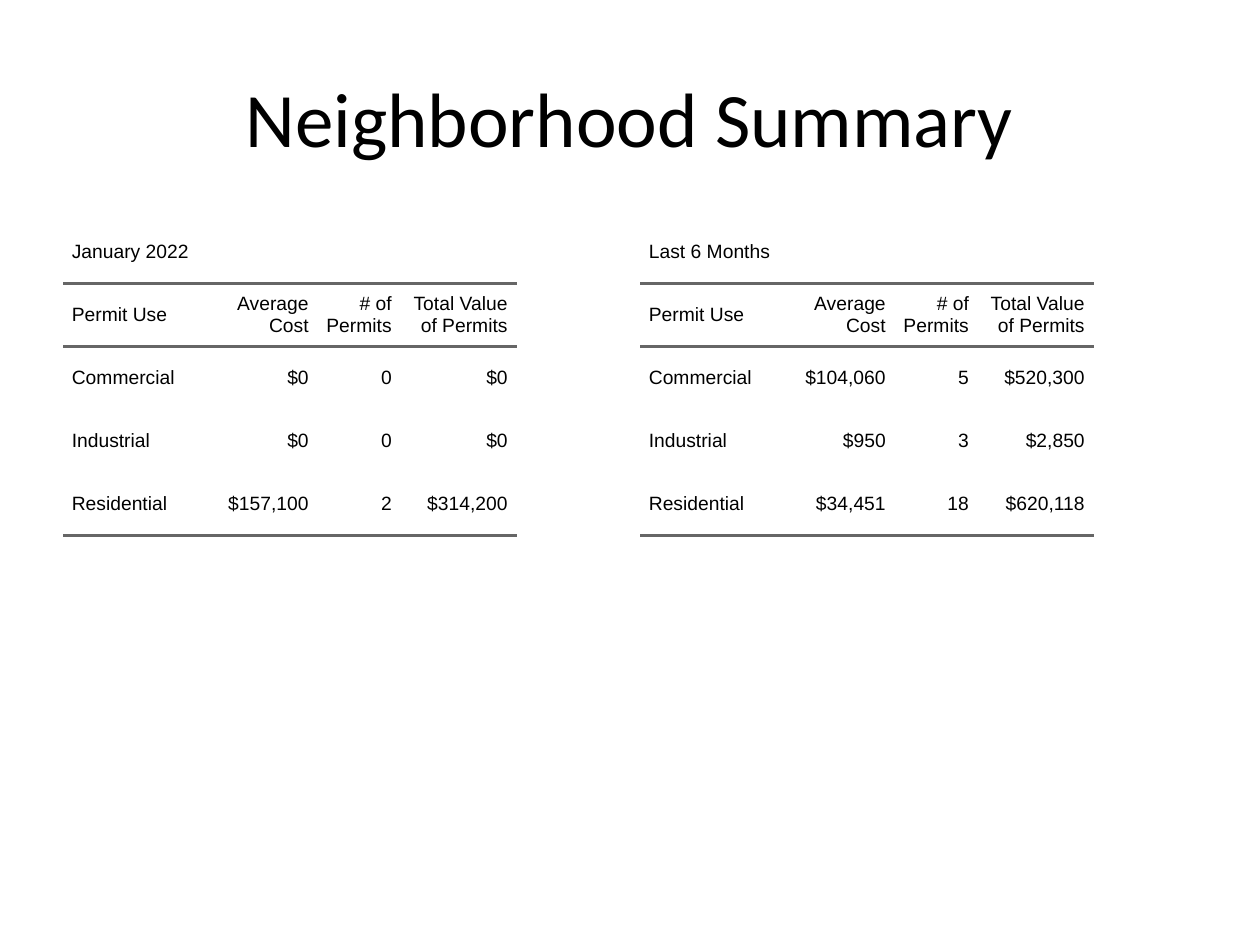
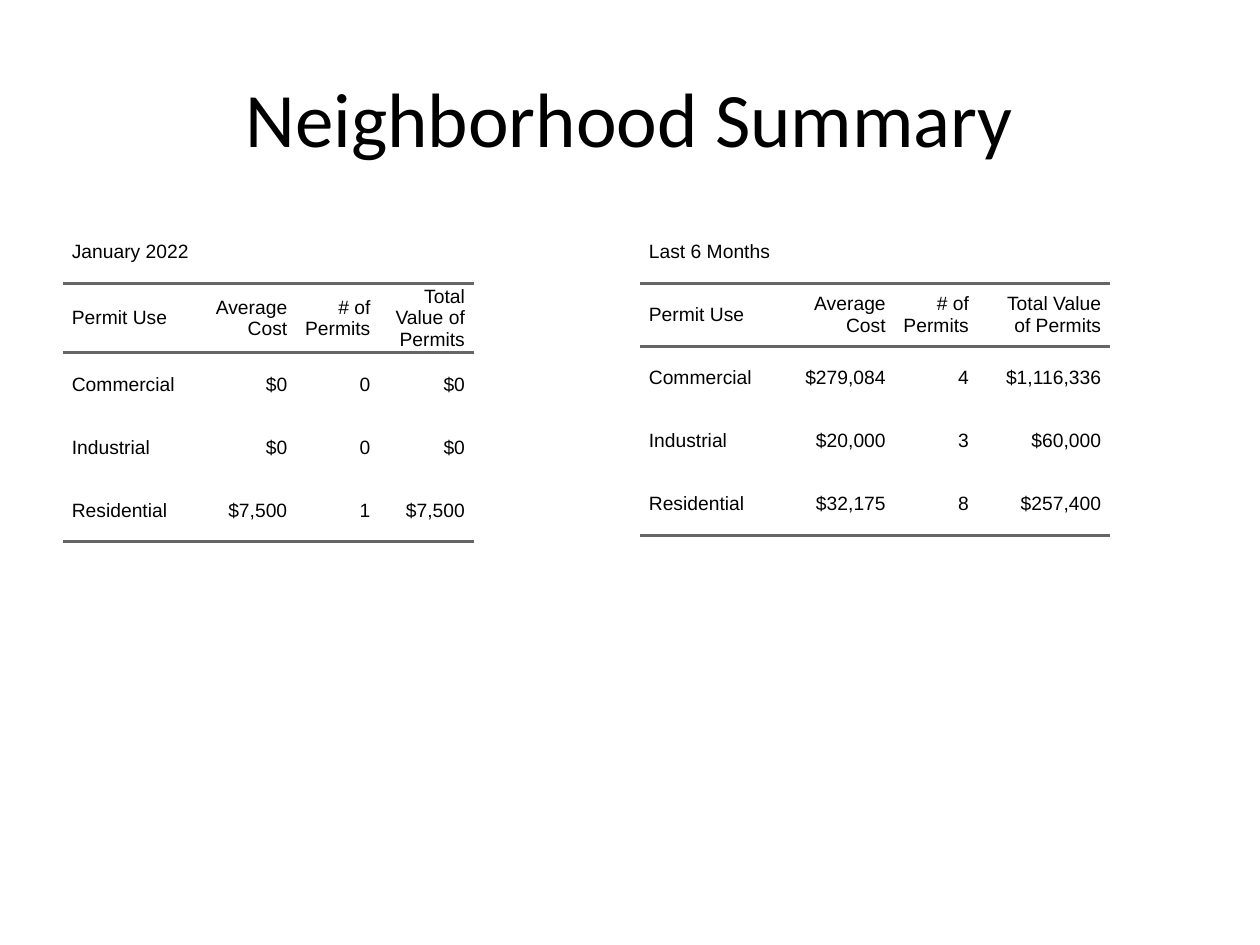
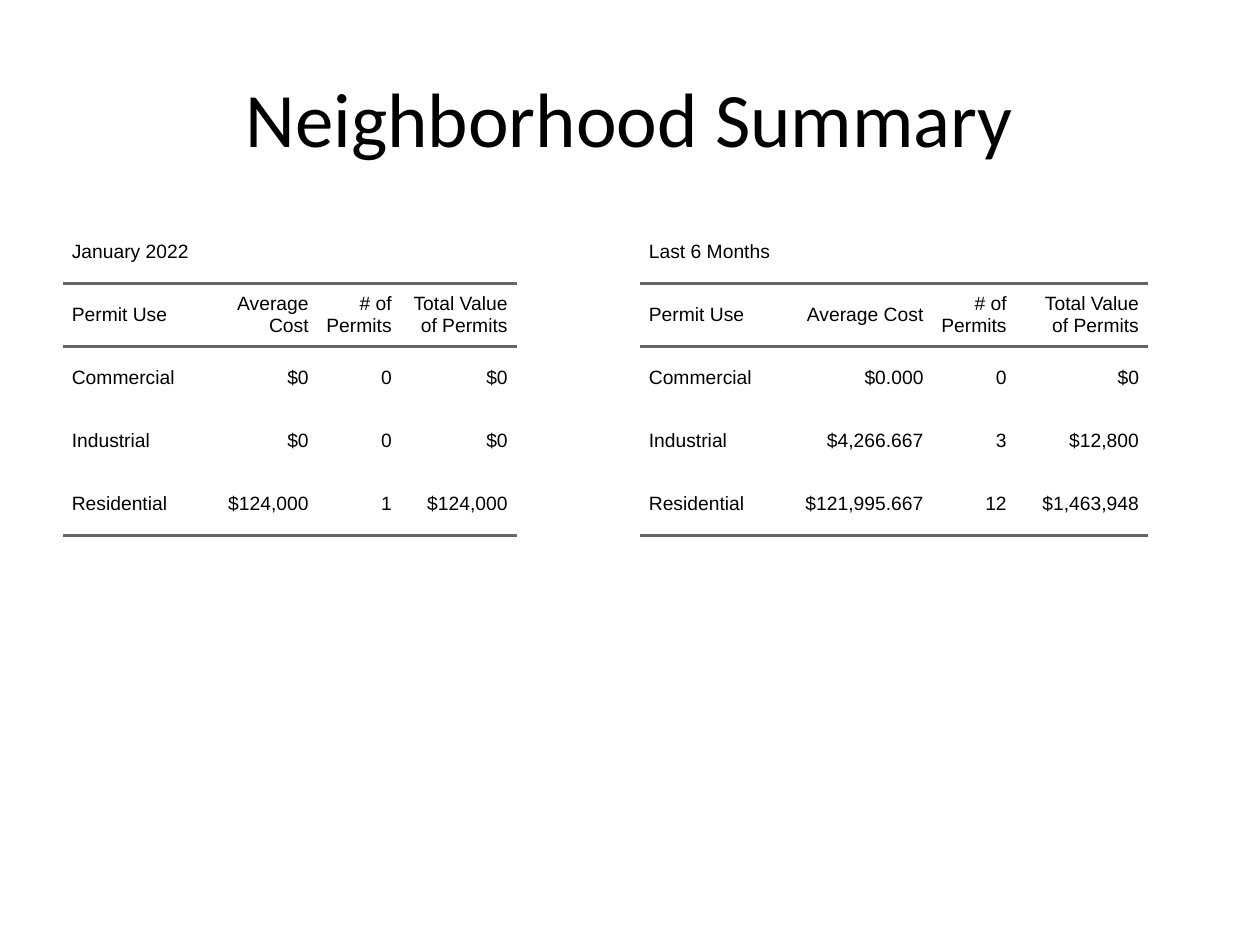
from lxml.etree import SubElement
from pptx import Presentation
from pptx.dml.color import RGBColor
from pptx.enum.text import MSO_ANCHOR, PP_ALIGN
from pptx.oxml.ns import qn
from pptx.util import Inches, Pt

COLORS = {"text": "000000", "rule": "666666"}
TITLE = "Neighborhood Summary"
HEADER = ["Permit Use", "Average Cost", "# of Permits", "Total Value of Permits"]
USES = ["Commercial", "Industrial", "Residential"]
MONTH, HALF_YEAR = "January 2022", "Last 6 Months"

TITLE_BOX = (0.5, 0.3, 9, 1.25)
TABLE_TOP, ROW_HEIGHT, CELL_PAD = 1.75, 0.5, 0.07
TABLE_LEFTS = {MONTH: 0.5, HALF_YEAR: 5.08}
USE_WIDTH, COUNT_WIDTH = 1.1, 0.66
RULE_EDGES = {1, 2, 5}  # row edges that carry a rule, counted from the top

# Per slide and period: width of the cost and value columns, then the figures
SLIDES = [
    {
        MONTH: (0.92, 0.92, [("$0", "0", "$0"), ("$0", "0", "$0"),
                             ("$157,100", "2", "$314,200")]),
        HALF_YEAR: (0.92, 0.92, [("$104,060", "5", "$520,300"), ("$950", "3", "$2,850"),
                                 ("$34,451", "18", "$620,118")]),
    },
    {
        MONTH: (0.75, 0.75, [("$0", "0", "$0"), ("$0", "0", "$0"),
                             ("$7,500", "1", "$7,500")]),
        HALF_YEAR: (0.92, 1.05, [("$279,084", "4", "$1,116,336"), ("$20,000", "3", "$60,000"),
                                 ("$32,175", "8", "$257,400")]),
    },
    {
        MONTH: (0.92, 0.92, [("$0", "0", "$0"), ("$0", "0", "$0"),
                             ("$124,000", "1", "$124,000")]),
        HALF_YEAR: (1.22, 1.05, [("$0.000", "0", "$0"), ("$4,266.667", "3", "$12,800"),
                                 ("$121,995.667", "12", "$1,463,948")]),
    },
]


def add_text(tf, text, font, size, align):
    p = tf.paragraphs[0]
    p.alignment = align
    r = p.add_run()
    r.text = text
    r.font.name = font
    r.font.size = Pt(size)
    r.font.color.rgb = RGBColor.from_string(COLORS["text"])


def add_title(s, left, top, width, height):
    sp = s.shapes.add_textbox(Inches(left), Inches(top), Inches(width), Inches(height))
    tf = sp.text_frame
    tf.word_wrap = True
    tf.vertical_anchor = MSO_ANCHOR.MIDDLE
    add_text(tf, TITLE, "Calibri", 44, PP_ALIGN.CENTER)


def set_borders(cell, has_top, has_bottom):
    tcPr = cell._tc.get_or_add_tcPr()
    sides = {"a:lnL": False, "a:lnR": False, "a:lnT": has_top, "a:lnB": has_bottom}
    for tag, visible in sides.items():
        ln = SubElement(tcPr, qn(tag), w=str(Pt(2) if visible else 0))
        if visible:
            fill = SubElement(ln, qn("a:solidFill"))
            SubElement(fill, qn("a:srgbClr"), val=COLORS["rule"])
        else:
            SubElement(ln, qn("a:noFill"))


def add_permit_table(s, left, top, period, cost_width, value_width, figures):
    widths = [USE_WIDTH, cost_width, COUNT_WIDTH, value_width]
    rows = [[period], HEADER] + [[use, *row] for use, row in zip(USES, figures)]
    frame = s.shapes.add_table(len(rows), len(widths), Inches(left), Inches(top),
                               Inches(sum(widths)), Inches(ROW_HEIGHT * len(rows)))
    table = frame.table
    table.first_row = table.horz_banding = False
    for column, width in zip(table.columns, widths):
        column.width = Inches(width)

    # Plain cells with rules around the header and below the last row
    for i in range(len(rows)):
        for j in range(len(widths)):
            cell = table.cell(i, j)
            set_borders(cell, i in RULE_EDGES, i + 1 in RULE_EDGES)
            cell.fill.background()
            cell.vertical_anchor = MSO_ANCHOR.MIDDLE
            cell.margin_left = cell.margin_right = Inches(CELL_PAD)
            cell.margin_top = cell.margin_bottom = 0
    table.cell(0, 0).merge(table.cell(0, len(widths) - 1))

    # Labels on the left, figures on the right
    for i, row in enumerate(rows):
        for j, text in enumerate(row):
            align = PP_ALIGN.RIGHT if j else PP_ALIGN.LEFT
            add_text(table.cell(i, j).text_frame, text, "Arial", 11, align)


def add_summary_slide(prs, periods):
    s = prs.slides.add_slide(prs.slide_layouts[6])
    for period, content in periods.items():
        add_permit_table(s, TABLE_LEFTS[period], TABLE_TOP, period, *content)
    add_title(s, *TITLE_BOX)


def main():
    prs = Presentation()
    prs.slide_width, prs.slide_height = Inches(10), Inches(7.5)
    for periods in SLIDES:
        add_summary_slide(prs, periods)
    prs.save("out.pptx")


if __name__ == "__main__":
    main()
